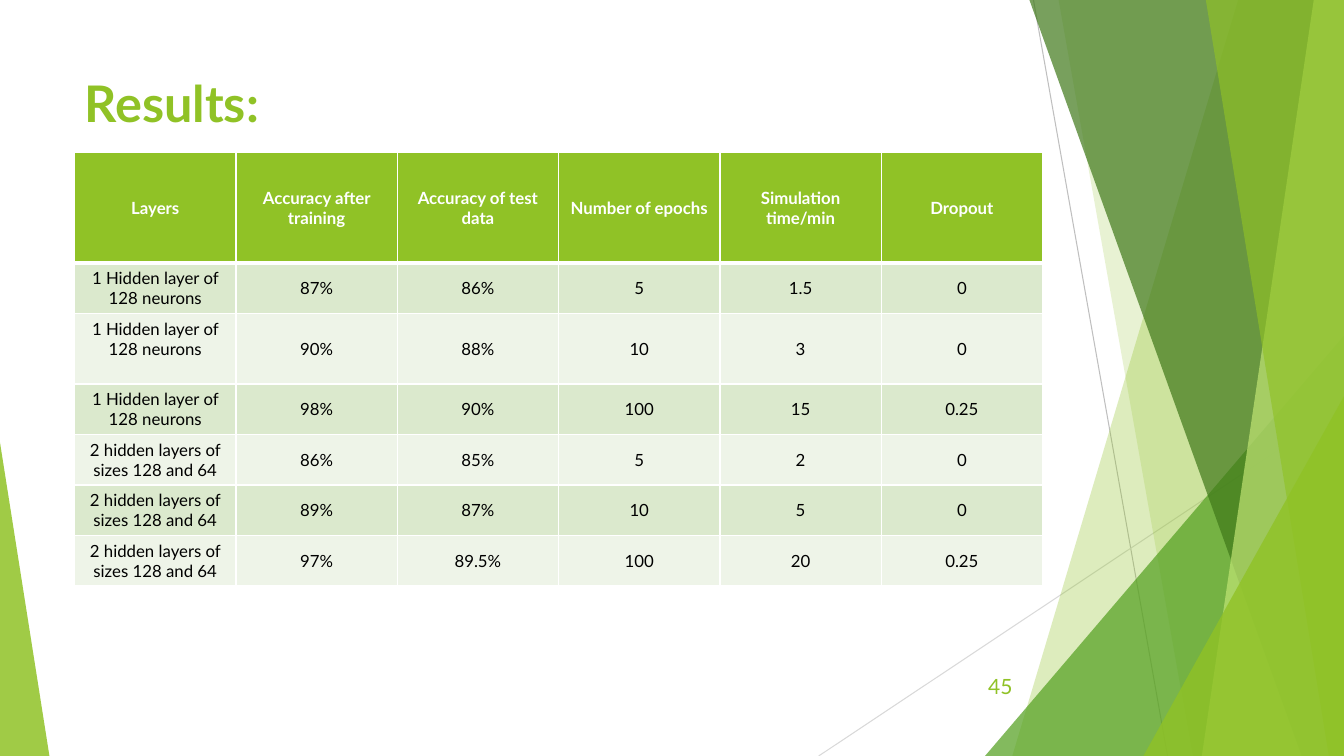
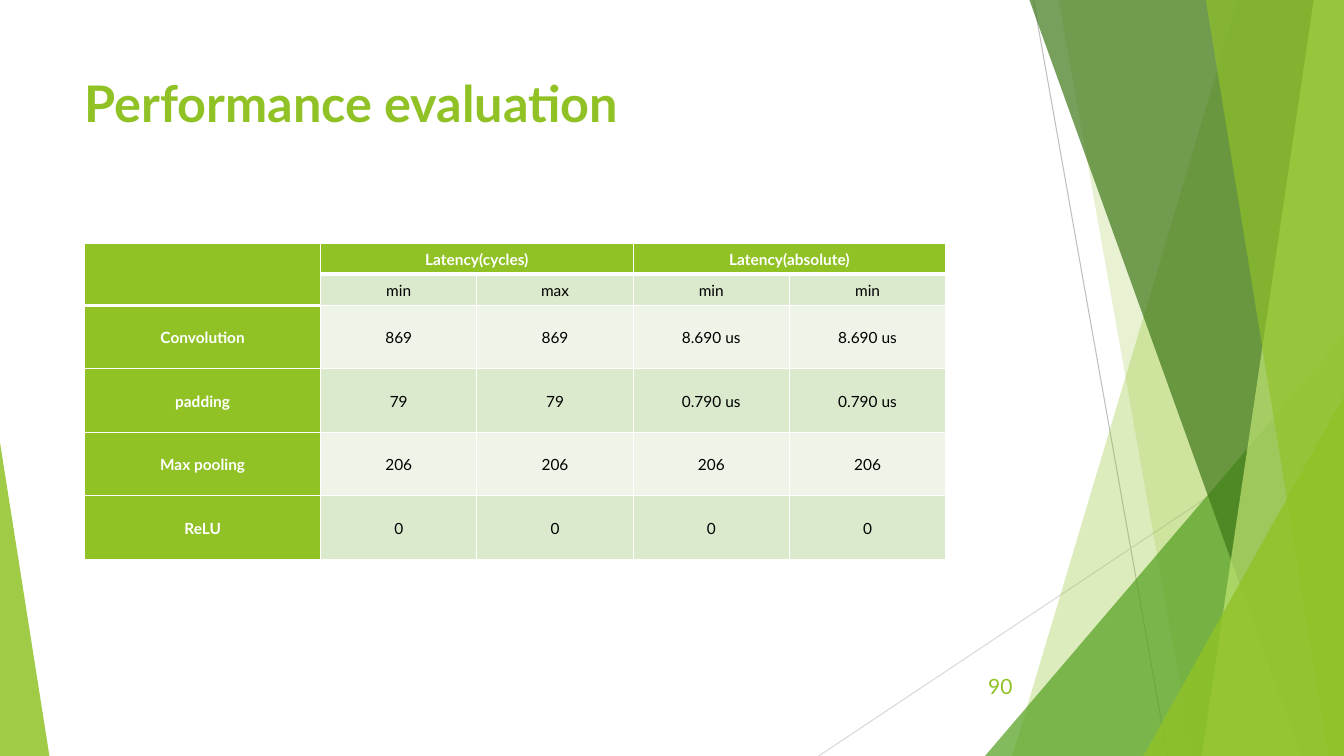
import pptx
import pptx.util
import pptx.dml.color
import pptx.enum.shapes
import pptx.enum.text
import pptx.oxml
import pptx.oxml.ns
from dataclasses import dataclass
from lxml import etree

Inches, Pt = pptx.util.Inches, pptx.util.Pt
ANCHOR = pptx.enum.text.MSO_ANCHOR
ALIGN = pptx.enum.text.PP_ALIGN
qn = pptx.oxml.ns.qn


@dataclass(frozen=True)
class Theme:
    font: str = "Lato"
    green: str = "90C226"
    leaf: str = "54A021"
    forest: str = "3F7819"
    lime: str = "C0E474"
    band_dark: str = "DBE9CD"
    band_light: str = "EEF4E8"
    white: str = "FFFFFF"
    black: str = "000000"
    title_size: int = 36
    number_size: int = 15
    thin: int = 1
    thick: int = 3


T = Theme()
W, H = 13.33, 7.5

# Content
ONE_LAYER = "1 Hidden layer of 128 neurons"
TWO_LAYERS = "2 hidden layers of sizes 128 and 64"

SLIDES = [
    dict(
        title="Results:", number="45",
        left=0.74, top=1.51, size=12, insets=(0.1, 0.05), line_spacing=1.0,
        cols=[1.6] * 6, rows=[1.1, 0.5, 0.7] + [0.5] * 4,
        header_col=False, merges=[], top_cells=[(2, 0)],
        cells=[
            ("Layers", "Accuracy after training", "Accuracy of test data",
             "Number of epochs", "Simulation time/min", "Dropout"),
            (ONE_LAYER, "87%", "86%", "5", "1.5", "0"),
            (ONE_LAYER, "90%", "88%", "10", "3", "0"),
            (ONE_LAYER, "98%", "90%", "100", "15", "0.25"),
            (TWO_LAYERS, "86%", "85%", "5", "2", "0"),
            (TWO_LAYERS, "89%", "87%", "10", "5", "0"),
            (TWO_LAYERS, "97%", "89.5%", "100", "20", "0.25"),
        ],
    ),
    dict(
        title="Performance evaluation", number="90",
        left=0.84, top=2.41, size=11, insets=(0.07, 0), line_spacing=1.07,
        cols=[2.34] + [1.55] * 4, rows=[0.31] * 2 + [0.63] * 4,
        header_col=True, top_cells=[],
        merges=[((0, 0), (1, 0)), ((0, 1), (0, 2)), ((0, 3), (0, 4))],
        cells=[
            ("", "Latency(cycles)", "", "Latency(absolute)", ""),
            ("", "min", "max", "min", "min"),
            ("Convolution", "869", "869", "8.690 us", "8.690 us"),
            ("padding", "79", "79", "0.790 us", "0.790 us"),
            ("Max pooling", "206", "206", "206", "206"),
            ("ReLU", "0", "0", "0", "0"),
        ],
    ),
]

# Backdrop, from back to front
RAYS = [((10.25, 0), (11.58, H), "BFBFBF"), ((W, 4.03), (8.12, H), "D9D9D9")]
FACETS = [  # band: top x, bottom x; triangle: left, top, width, apex
    ("band", (12.28, 10.04), T.green, 30),
    ("band", (10.5, 11.83), T.green, 20),
    ("triangle", (9.77, 3.33, 3.56, 1), T.leaf, 72),
    ("band", (10.21, 12.91), T.forest, 70),
    ("band", (13.03, 11.92), T.lime, 70),
    ("band", (11.96, 13.18), T.green, 65),
    ("triangle", (11.34, 3.93, 1.99, 1), T.green, 80),
    ("triangle", (0, 4.39, 0.49, 0), T.green, 85),
]


def rgb(color):
    return pptx.dml.color.RGBColor.from_string(color)


def add_text(tf, text, size, color, bold=False, align=ALIGN.LEFT, spacing=1.0):
    p = tf.paragraphs[0]
    p.alignment = align
    p.line_spacing = spacing
    if text:
        r = p.add_run()
        r.text = text
        r.font.color.rgb = rgb(color)
        for name, value in dict(name=T.font, size=Pt(size), bold=bold).items():
            setattr(r.font, name, value)


def add_box(s, box, anchor, *args, **kwargs):
    tf = s.shapes.add_textbox(*map(Inches, box)).text_frame
    tf.word_wrap = True
    tf.vertical_anchor = anchor
    add_text(tf, *args, **kwargs)


def add_band(s, top_x, bottom_x):
    points = [(W, 0), (W, H), (bottom_x, H)]
    fb = s.shapes.build_freeform(Inches(top_x), 0)
    fb.add_line_segments([(Inches(x), Inches(y)) for x, y in points], close=True)
    return fb.convert_to_shape()


def add_triangle(s, left, top, width, apex):
    sp = s.shapes.add_shape(pptx.enum.shapes.MSO_SHAPE.ISOSCELES_TRIANGLE,
                            *map(Inches, (left, top, width, H - top)))
    sp.adjustments[0] = apex
    return sp


def add_backdrop(s):
    for start, end, color in RAYS:
        line = s.shapes.add_connector(pptx.enum.shapes.MSO_CONNECTOR.STRAIGHT,
                                      *map(Inches, start + end))
        line.line.color.rgb = rgb(color)
        line.line.width = Pt(0.75)
        etree.SubElement(line._element.spPr, qn("a:effectLst"))
    draw = {"band": add_band, "triangle": add_triangle}
    for kind, geometry, color, opacity in FACETS:
        sp = draw[kind](s, *geometry)
        sp.shadow.inherit = False
        sp.line.fill.background()
        sp.fill.solid()
        sp.fill.fore_color.rgb = rgb(color)
        clr = sp._element.spPr.find(qn("a:solidFill")).find(qn("a:srgbClr"))
        etree.SubElement(clr, qn("a:alpha"), val=str(opacity * 1000))


def set_borders(cell, widths):
    """Border lines come before the fill in the cell properties."""
    tcPr = cell._tc.get_or_add_tcPr()
    for i, (side, width) in enumerate(widths):
        ln = etree.Element(qn("a:ln" + side), w=str(Pt(width)))
        fill = etree.SubElement(ln, qn("a:solidFill"))
        etree.SubElement(fill, qn("a:srgbClr"), val=T.white)
        tcPr.insert(i, ln)


def add_table(s, d):
    rows, cols = d["rows"], d["cols"]
    box = (d["left"], d["top"], sum(cols), sum(rows))
    table = s.shapes.add_table(len(rows), len(cols), *map(Inches, box)).table
    table.horz_banding = False
    for row, height in zip(table.rows, rows):
        row.height = Inches(height)
    for col, width in zip(table.columns, cols):
        col.width = Inches(width)
    for first, last in d["merges"]:
        table.cell(*first).merge(table.cell(*last))

    side, end = map(Inches, d["insets"])
    for r, texts in enumerate(d["cells"]):
        for c, text in enumerate(texts):
            cell = table.cell(r, c)
            header = r == 0 or (d["header_col"] and c == 0)
            top = (r, c) in d["top_cells"]
            form = dict(margin_left=side, margin_right=side,
                        margin_top=end, margin_bottom=end,
                        vertical_anchor=ANCHOR.TOP if top else ANCHOR.MIDDLE)
            for name, value in form.items():
                setattr(cell, name, value)
            add_text(cell.text_frame, text, d["size"],
                     T.white if header else T.black, header,
                     ALIGN.CENTER, d["line_spacing"])
            band = T.band_dark if r % 2 else T.band_light
            cell.fill.solid()
            cell.fill.fore_color.rgb = rgb(T.green if header else band)
            # A thick rule closes the header, also under a merged header cell
            in_header = r == 0 or cell.is_spanned
            widths = [("L", T.thin), ("R", T.thin)]
            if r == 0:
                widths.append(("T", T.thin))
            widths.append(("B", T.thick if in_header else T.thin))
            set_borders(cell, widths)


def main():
    prs = pptx.Presentation()
    prs.slide_width, prs.slide_height = Inches(W), Inches(H)
    for d in SLIDES:
        s = prs.slides.add_slide(prs.slide_layouts[6])
        add_backdrop(s)
        add_box(s, (0.74, 0.67, 9.4, 1.44), ANCHOR.TOP,
                d["title"], T.title_size, T.green, bold=True)
        add_table(s, d)
        add_box(s, (9.39, 6.61, 0.75, 0.4), ANCHOR.MIDDLE,
                d["number"], T.number_size, T.green, align=ALIGN.RIGHT)
    prs.save("out.pptx")


if __name__ == "__main__":
    main()
